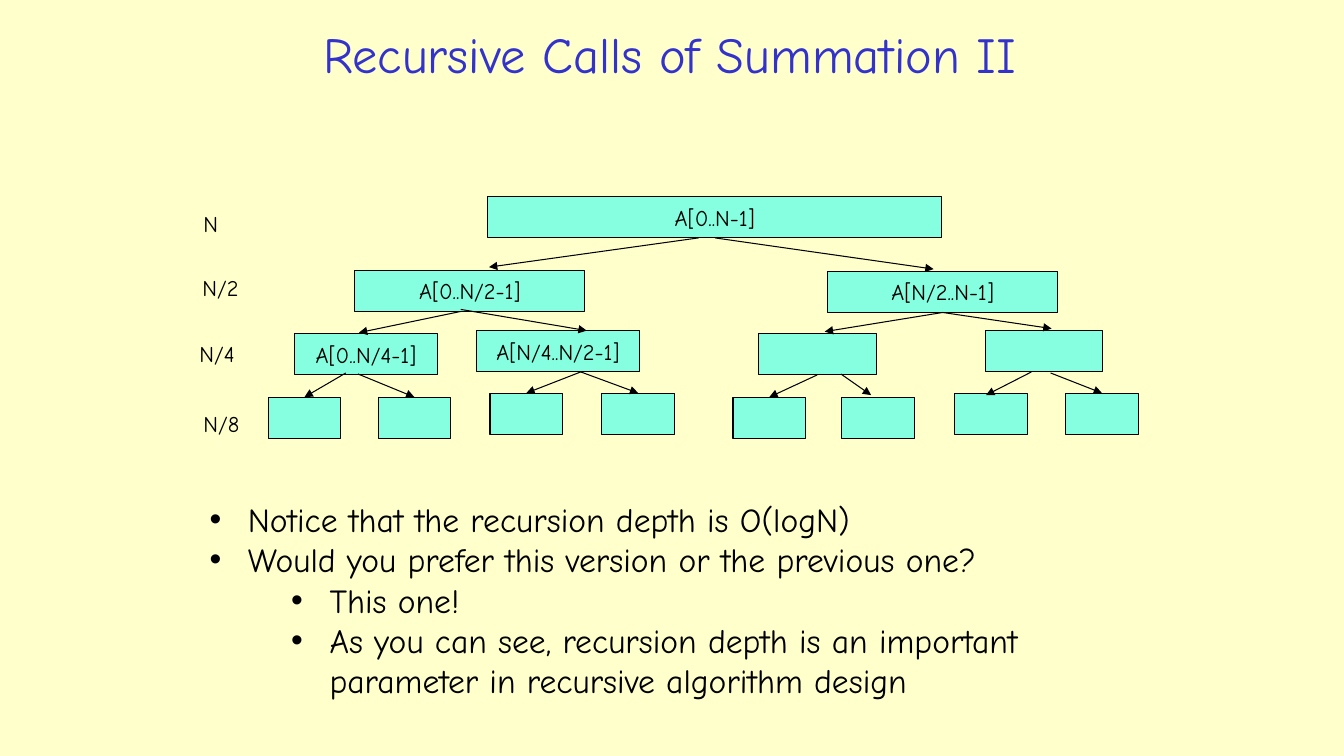
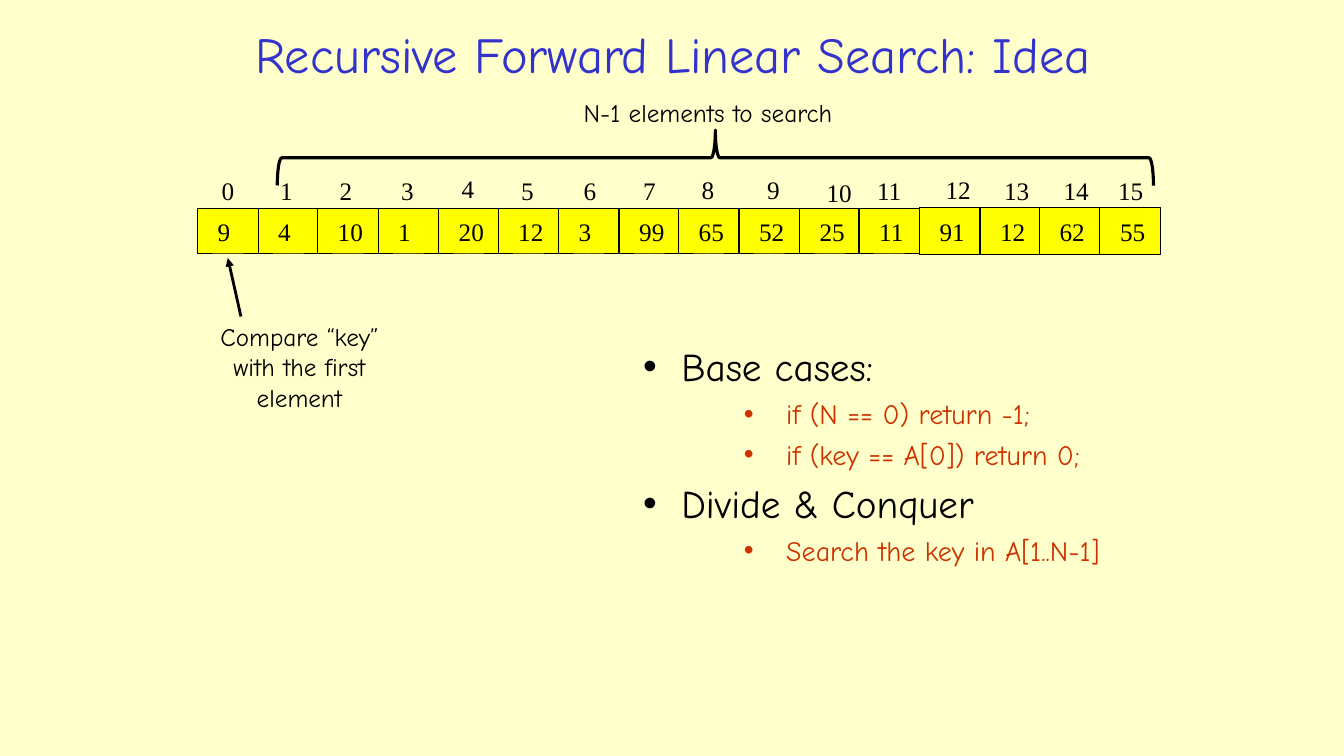
"""Build two slides on recursion: the calls of a summation and a linear search."""
from dataclasses import dataclass
from typing import NamedTuple

from lxml import etree
from pptx import Presentation
from pptx import util as u
from pptx.dml import color
from pptx.enum import shapes, text
from pptx.oxml import ns

PX = 9144
COLORS = {
    "page": "FFFFCC",
    "title": "3333CC",
    "ink": "000000",
    "node": "85FFE0",
    "cell": "FFFF00",
    "code": "CC3300",
}
HAND = "Comic Neue"
SERIF = "Times New Roman"
LEFT, CENTER = text.PP_ALIGN.LEFT, text.PP_ALIGN.CENTER
TOP, MIDDLE = text.MSO_ANCHOR.TOP, text.MSO_ANCHOR.MIDDLE


class Rect(NamedTuple):
    left: int
    top: int
    width: int
    height: int


class Point(NamedTuple):
    x: int
    y: int


@dataclass(frozen=True)
class Style:
    size: int
    font: str = HAND
    color: str = "ink"
    align: int = LEFT
    anchor: int = TOP
    wrap: bool = True


@dataclass(frozen=True)
class Bullet:
    level: int
    indent: int
    hang: int
    size: int
    color: str = "ink"
    space: int = 0


@dataclass(frozen=True)
class Node:
    rect: Rect
    label: str = ""


@dataclass(frozen=True)
class Arrow:
    start: Point
    end: Point
    width: float = 0.75


TITLE = Style(36, color="title", align=CENTER, anchor=MIDDLE)
LEVEL = Style(16)
NODE = Style(16, align=CENTER, anchor=MIDDLE, wrap=False)
INDEX = Style(18, SERIF, wrap=False)
VALUE = Style(18, SERIF, anchor=MIDDLE)
NOTE = Style(18)
CENTERED_NOTE = Style(18, align=CENTER)

POINT = Bullet(0, 38, 38, 24)
SUBPOINT = Bullet(1, 119, 38, 24)
HEADING = Bullet(0, 38, 38, 28, space=6)
CODE = Bullet(2, 142, 42, 20, "code", 5)

LEVELS = [
    ("N", Rect(192, 204, 44, 37)),
    ("N/2", Rect(191, 267, 76, 37)),
    ("N/4", Rect(188, 333, 70, 37)),
    ("N/8", Rect(192, 402, 70, 37)),
]
NODE_HEIGHT = 41
LEAF_TOPS = (394, 394, 390, 390) * 2
LEAF_LEFTS = (266, 375, 486, 597, 727, 835, 947, 1057)
NODES = [
    Node(Rect(484, 195, 450, NODE_HEIGHT), "A[0..N-1]"),
    Node(Rect(821, 269, 228, NODE_HEIGHT), "A[N/2..N-1]"),
    Node(Rect(352, 268, 228, NODE_HEIGHT), "A[0..N/2-1]"),
    Node(Rect(292, 331, 142, NODE_HEIGHT), "A[0..N/4-1]"),
    Node(Rect(473, 328, 161, NODE_HEIGHT), "A[N/4..N/2-1]"),
    Node(Rect(752, 331, 117, NODE_HEIGHT)),
    Node(Rect(977, 328, 117, NODE_HEIGHT)),
] + [Node(Rect(left, top, 72, NODE_HEIGHT)) for left, top in zip(LEAF_LEFTS, LEAF_TOPS)]
CALLS = [
    Arrow(Point(693, 236), Point(485, 265)),
    Arrow(Point(711, 236), Point(926, 267)),
    Arrow(Point(457, 309), Point(356, 330)),
    Arrow(Point(457, 307), Point(582, 328)),
    Arrow(Point(938, 311), Point(818, 329)),
    Arrow(Point(939, 309), Point(1043, 326)),
    Arrow(Point(343, 370), Point(305, 394)),
    Arrow(Point(355, 371), Point(409, 394)),
    Arrow(Point(576, 369), Point(523, 391)),
    Arrow(Point(576, 369), Point(635, 388)),
    Arrow(Point(807, 370), Point(767, 392)),
    Arrow(Point(834, 371), Point(864, 392)),
    Arrow(Point(1023, 369), Point(978, 392)),
    Arrow(Point(1042, 370), Point(1090, 387)),
]
DEPTH_NOTES = [
    (POINT, "Notice that the recursion depth is O(logN)"),
    (POINT, "Would you prefer this version or the previous one?"),
    (SUBPOINT, "This one!"),
    (SUBPOINT, "As you can see, recursion depth is an important parameter "
               "in recursive algorithm design"),
]

VALUES = (9, 4, 10, 1, 20, 12, 3, 99, 65, 52, 25, 11, 91, 12, 62, 55)
INDEX_LEFTS = (210, 268, 327, 388, 448, 507, 569, 628,
               686, 751, 810, 860, 928, 986, 1045, 1099)
INDEX_TOP = 169
INDEX_TOP_SHIFTS = {4: -2, 8: -1, 9: -1, 10: 2, 12: -1}
ARRAY_LEFT, ARRAY_SPAN = 196, 895
TALL_CELLS_FROM = 12
SEARCH_NOTES = [
    (HEADING, "Base cases:"),
    (CODE, "if (N == 0) return -1;"),
    (CODE, "if (key == A[0]) return 0;"),
    (HEADING, "Divide & Conquer"),
    (CODE, "Search the key in A[1..N-1]"),
]


def px(*lengths: int) -> list[u.Emu]:
    return [u.Emu(length * PX) for length in lengths]


def rgb(name: str) -> color.RGBColor:
    return color.RGBColor.from_string(COLORS[name])


def format_runs(para, size: int, font: str, ink: str) -> None:
    for span in para.runs:
        span.font.size = u.Pt(size)
        span.font.name = font
        span.font.color.rgb = rgb(ink)


def write(box, words: str, style: Style) -> None:
    frame = box.text_frame
    frame.text = words
    frame.word_wrap = style.wrap
    frame.vertical_anchor = style.anchor
    para = frame.paragraphs[0]
    para.alignment = style.align
    format_runs(para, style.size, style.font, style.color)


def add_text(page, rect: Rect, words: str, style: Style):
    box = page.shapes.add_textbox(*px(*rect))
    write(box, words, style)
    return box


def add_block(page, rect: Rect, fill: str, words: str, style: Style):
    block = page.shapes.add_shape(shapes.MSO_SHAPE.RECTANGLE, *px(*rect))
    block.shadow.inherit = False
    block.fill.solid()
    block.fill.fore_color.rgb = rgb(fill)
    block.line.color.rgb = rgb("ink")
    block.line.width = u.Pt(0.75)
    if words:
        write(block, words, style)
    return block


def add_bullets(page, rect: Rect, items: list[tuple[Bullet, str]]) -> None:
    frame = page.shapes.add_textbox(*px(*rect)).text_frame
    frame.word_wrap = True
    for number, (bullet, words) in enumerate(items):
        para = frame.add_paragraph() if number else frame.paragraphs[0]
        para.text = words
        para.level = bullet.level
        properties = para._p.get_or_add_pPr()
        properties.set("marL", str(bullet.indent * PX))
        properties.set("indent", str(-bullet.hang * PX))
        etree.SubElement(properties, ns.qn("a:buFont"), typeface="Arial")
        etree.SubElement(properties, ns.qn("a:buChar"), char="•")
        if number:
            para.space_before = u.Pt(bullet.space)
        format_runs(para, bullet.size, HAND, bullet.color)


def find_joint(point: Point, blocks: list, tolerance: int = 4):
    """Return the block and side whose middle lies at the point, if any."""
    reach = tolerance * PX
    x, y = px(*point)
    for block in blocks:
        if abs(block.left + block.width // 2 - x) <= reach:
            for side, edge in ((0, block.top), (2, block.top + block.height)):
                if abs(edge - y) <= reach:
                    return block, side
    return None


def add_arrow(page, arrow: Arrow, blocks: list) -> None:
    line = page.shapes.add_connector(
        shapes.MSO_CONNECTOR.STRAIGHT, *px(*arrow.start, *arrow.end))
    line.line.color.rgb = rgb("ink")
    line.line.width = u.Pt(arrow.width)
    properties = line.element.spPr
    etree.SubElement(properties.find(ns.qn("a:ln")), ns.qn("a:tailEnd"), type="triangle")
    etree.SubElement(properties, ns.qn("a:effectLst"))
    for point, connect in ((arrow.start, line.begin_connect), (arrow.end, line.end_connect)):
        joint = find_joint(point, blocks)
        if joint:
            connect(*joint)


def add_page(deck, title: str, left: int, width: int):
    page = deck.slides.add_slide(deck.slide_layouts[6])
    add_text(page, Rect(left, 15, width, 76), title, TITLE)
    return page


def add_summation(deck) -> None:
    page = add_page(deck, "Recursive Calls of Summation II", 198, 933)
    for label, rect in LEVELS:
        add_text(page, rect, label, LEVEL)
    blocks = [add_block(page, node.rect, "node", node.label, NODE) for node in NODES]
    for call in CALLS:
        add_arrow(page, call, blocks)
    add_bullets(page, Rect(198, 490, 944, 212), DEPTH_NOTES)


def add_array(page) -> None:
    for index, (value, label_left) in enumerate(zip(VALUES, INDEX_LEFTS)):
        left = ARRAY_LEFT + round(index * ARRAY_SPAN / (len(VALUES) - 1))
        top, height = (206, 47) if index >= TALL_CELLS_FROM else (207, 45)
        cell = add_block(page, Rect(left, top, 60, height), "cell", str(value), VALUE)
        cell.text_frame.margin_left, cell.text_frame.margin_right = px(20, 0)
        label_top = INDEX_TOP + INDEX_TOP_SHIFTS.get(index, 0)
        label_width = 33 if index < 10 else 45
        add_text(page, Rect(label_left, label_top, label_width, 40), str(index), INDEX)


def add_brace(page) -> None:
    brace = page.shapes.add_shape(shapes.MSO_SHAPE.RIGHT_BRACE, *px(682, -278, 55, 869))
    brace.rotation = 270
    brace.adjustments[0] = 0.08
    brace.shadow.inherit = False
    brace.fill.background()
    brace.line.color.rgb = rgb("ink")
    brace.line.width = u.Pt(2.25)


def add_search(deck) -> None:
    page = add_page(deck, "Recursive Forward Linear Search: Idea", 184, 967)
    add_array(page)
    add_brace(page)
    add_text(page, Rect(569, 92, 319, 40), "N-1 elements to search", NOTE)
    note = add_text(page, Rect(196, 314, 202, 101),
                    "Compare “key” with the first element", CENTERED_NOTE)
    add_arrow(page, Arrow(Point(239, 314), Point(226, 256), 2), [note])
    add_bullets(page, Rect(628, 335, 527, 296), SEARCH_NOTES)


def main() -> None:
    deck = Presentation()
    deck.slide_width, deck.slide_height = px(1333, 750)
    backdrop = deck.slide_master.background.fill
    backdrop.solid()
    backdrop.fore_color.rgb = rgb("page")
    add_summation(deck)
    add_search(deck)
    deck.save("out.pptx")


if __name__ == "__main__":
    main()
